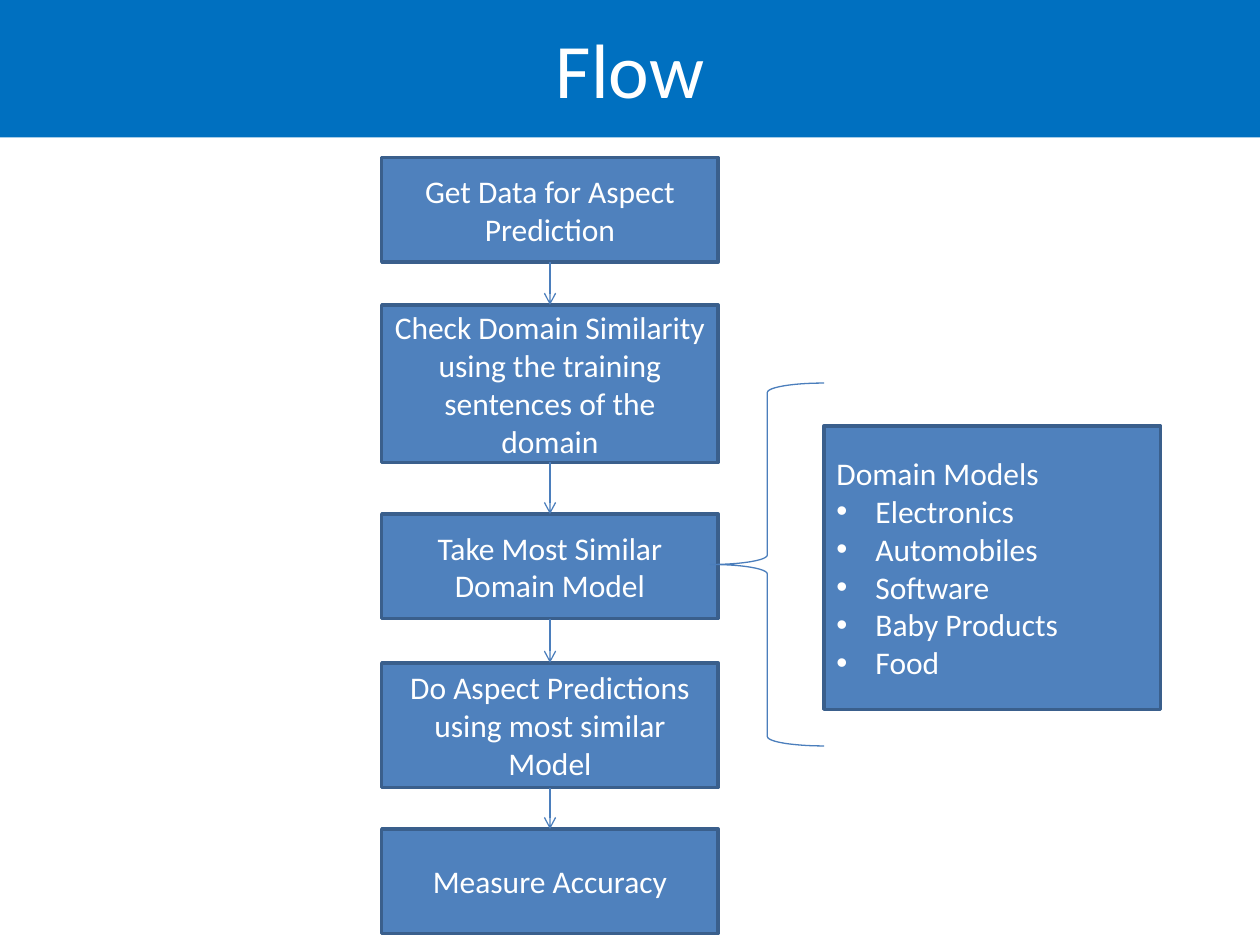
import itertools
from dataclasses import dataclass

import lxml.etree
import pptx
import pptx.dml.color
import pptx.enum.shapes
import pptx.enum.text
import pptx.oxml.ns
import pptx.util
from pptx.util import Inches

COLORS = {
    "banner": "0070C0",
    "box": "4F81BD",
    "border": "3A5F8C",
    "connector": "4B7EBC",
    "text": "FFFFFF",
}
FONT = "Calibri"
BOX_WIDTH = 2.67
FLOW_LEFT = 3.03
BULLET_INDENT = 0.31

Alignment = pptx.enum.text.PP_ALIGN
ShapeType = pptx.enum.shapes.MSO_SHAPE


@dataclass
class Box:
    left: float
    top: float
    height: float
    lines: list[str]

    @property
    def center(self) -> float:
        return self.left + BOX_WIDTH / 2

    @property
    def bottom(self) -> float:
        return self.top + self.height


STEPS = [
    Box(FLOW_LEFT, 1.25, 0.83, ["Get Data for Aspect Prediction"]),
    Box(FLOW_LEFT, 2.42, 1.25,
        ["Check Domain Similarity using the training sentences of the domain"]),
    Box(FLOW_LEFT, 4.08, 0.83, ["Take Most Similar Domain Model"]),
    Box(FLOW_LEFT, 5.26, 0.99, ["Do Aspect Predictions using most similar Model"]),
    Box(FLOW_LEFT, 6.58, 0.83, ["Measure Accuracy"]),
]
DOMAIN_MODELS = Box(6.54, 3.38, 2.25, [
    "Domain Models", "Electronics", "Automobiles", "Software", "Baby Products", "Food",
])


def color(name: str) -> pptx.dml.color.RGBColor:
    return pptx.dml.color.RGBColor.from_string(COLORS[name])


def set_fill(shape, name: str) -> None:
    shape.fill.solid()
    shape.fill.fore_color.rgb = color(name)


def set_line(shape, name: str, width: float) -> None:
    shape.line.color.rgb = color(name)
    shape.line.width = pptx.util.Pt(width)


def add_text(paragraph, text: str, size: int, alignment) -> None:
    paragraph.alignment = alignment
    run = paragraph.add_run()
    run.text = text
    run.font.name = FONT
    run.font.size = pptx.util.Pt(size)
    run.font.color.rgb = color("text")


def add_child(parent, tag: str, **attributes: str):
    return lxml.etree.SubElement(parent, pptx.oxml.ns.qn(tag), attributes)


def add_bullet(paragraph) -> None:
    properties = paragraph._p.get_or_add_pPr()
    properties.set("marL", str(Inches(BULLET_INDENT)))
    properties.set("indent", str(-Inches(BULLET_INDENT)))
    add_child(properties, "a:buFont", typeface="Arial")
    add_child(properties, "a:buChar", char="•")


def format_title(title) -> None:
    title.left, title.top = Inches(0), Inches(-0.02)
    title.width, title.height = Inches(10), Inches(1.11)
    set_fill(title, "banner")
    title.text_frame.vertical_anchor = pptx.enum.text.MSO_ANCHOR.MIDDLE
    add_text(title.text_frame.paragraphs[0], "Flow", 44, Alignment.CENTER)


def add_box(slide, box: Box) -> None:
    """Draw a box; one line is centred, further lines become bullets."""
    shape = slide.shapes.add_shape(
        ShapeType.RECTANGLE, Inches(box.left), Inches(box.top),
        Inches(BOX_WIDTH), Inches(box.height))
    shape.shadow.inherit = False
    set_fill(shape, "box")
    set_line(shape, "border", 2)
    frame = shape.text_frame
    frame.word_wrap = True
    frame.vertical_anchor = pptx.enum.text.MSO_ANCHOR.MIDDLE
    alignment = Alignment.CENTER if len(box.lines) == 1 else Alignment.LEFT
    for index, line in enumerate(box.lines):
        paragraph = frame.add_paragraph() if index else frame.paragraphs[0]
        add_text(paragraph, line, 18, alignment)
        if index:
            add_bullet(paragraph)


def add_brace(slide) -> None:
    brace = slide.shapes.add_shape(
        ShapeType.LEFT_BRACE, Inches(5.64), Inches(3.04), Inches(0.9), Inches(2.88))
    brace.shadow.inherit = False
    brace.fill.background()
    set_line(brace, "connector", 0.75)


def add_arrow(slide, upper: Box, lower: Box) -> None:
    arrow = slide.shapes.add_connector(
        pptx.enum.shapes.MSO_CONNECTOR.STRAIGHT,
        Inches(upper.center), Inches(upper.bottom),
        Inches(lower.center), Inches(lower.top))
    set_line(arrow, "connector", 0.75)
    add_child(arrow.line._get_or_add_ln(), "a:tailEnd", type="arrow")
    add_child(arrow._element.spPr, "a:effectLst")


def main() -> None:
    presentation = pptx.Presentation()
    presentation.slide_width = Inches(10)
    presentation.slide_height = Inches(7.5)
    slide = presentation.slides.add_slide(
        presentation.slide_layouts.get_by_name("Title Only"))
    format_title(slide.shapes.title)
    for box in [*STEPS, DOMAIN_MODELS]:
        add_box(slide, box)
    add_brace(slide)
    for upper, lower in itertools.pairwise(STEPS):
        add_arrow(slide, upper, lower)
    presentation.save("out.pptx")


if __name__ == "__main__":
    main()
